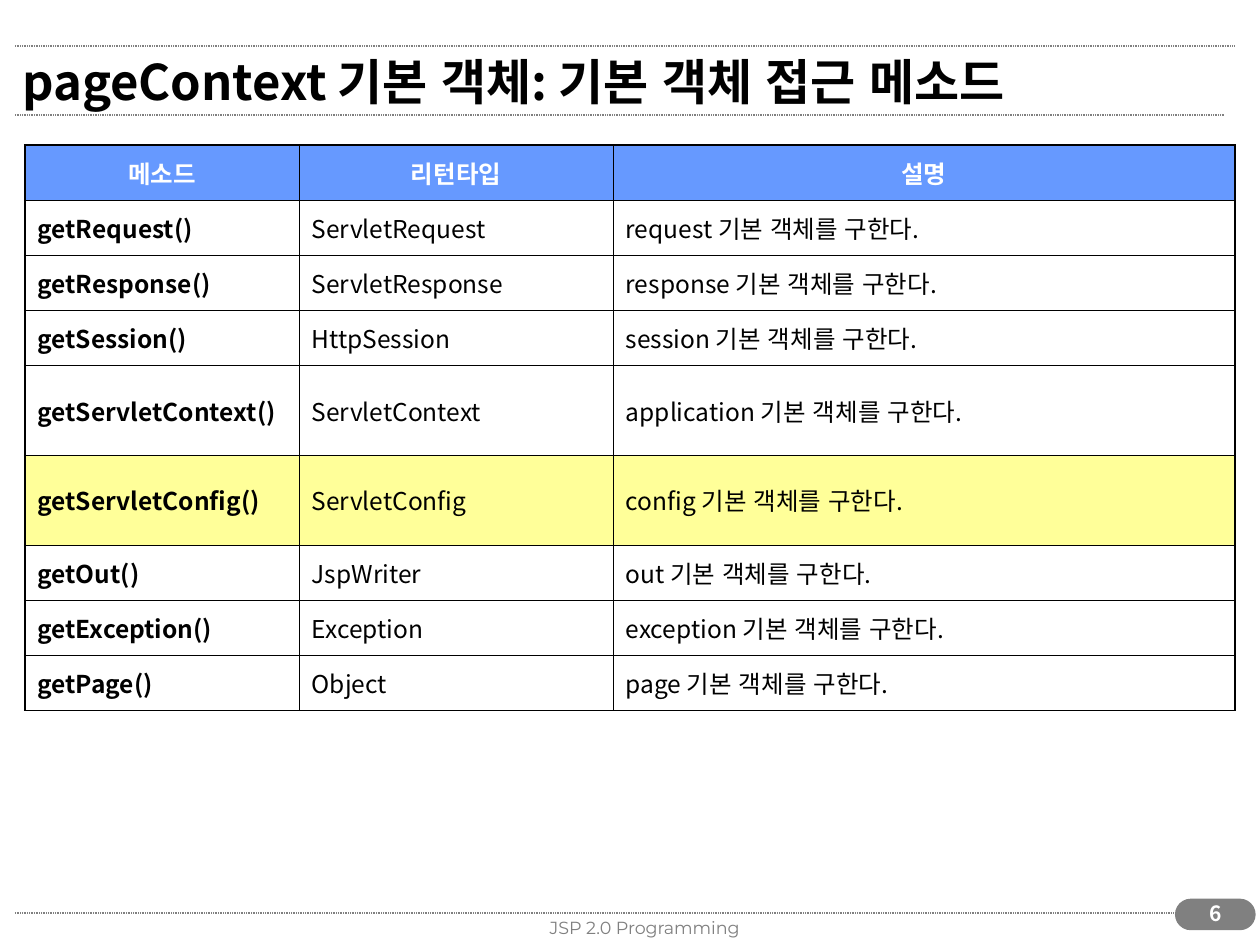
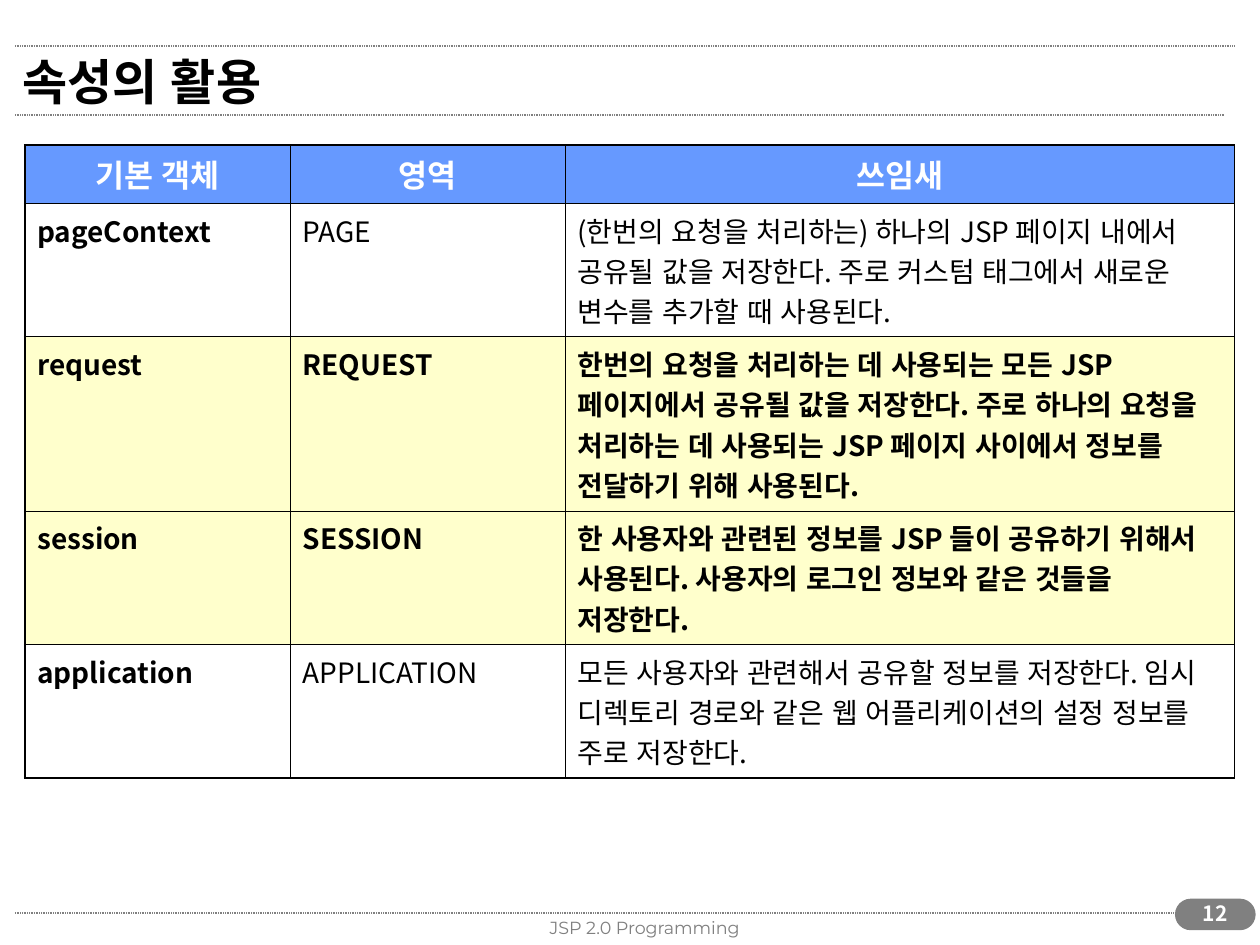
from lxml.etree import SubElement
from pptx import Presentation
from pptx.dml.color import RGBColor
from pptx.enum.shapes import MSO_CONNECTOR as Connector, MSO_SHAPE as Shape
from pptx.enum.text import MSO_ANCHOR as Anchor, PP_ALIGN as Align
from pptx.oxml import parse_xml
from pptx.oxml.ns import nsdecls, qn
from pptx.util import Cm, Pt

BLACK = RGBColor(0x00, 0x00, 0x00)
WHITE = RGBColor(0xFF, 0xFF, 0xFF)
GRAY = RGBColor(0x80, 0x80, 0x80)
HEADER_BLUE = RGBColor(0x66, 0x99, 0xFF)
YELLOW = RGBColor(0xFF, 0xFF, 0x99)
PALE_YELLOW = RGBColor(0xFF, 0xFF, 0xCC)
BODY_FONT = "Noto Sans CJK KR"
FOOTER_FONT = "Montserrat"
THICK, THIN = 1.08, 0.45

RULES = [(24.71, 18.4), (24.69, 2.32), (24.88, 0.92)]

DECK = [
    {
        "title": "pageContext 기본 객체: 기본 객체 접근 메소드",
        "number": "6",
        "widths": [5.53, 6.33, 12.53],
        "heights": [1.11] * 3 + [1.12] + [1.81] * 2 + [1.11] * 3,
        "sizes": (14, 14),
        "anchor": Anchor.MIDDLE,
        "highlights": {5: YELLOW},
        "bold_highlights": False,
        "rows": [("메소드", "리턴타입", "설명")] + [
            (method, kind, f"{name} 기본 객체를 구한다.")
            for method, kind, name in [
                ("getRequest()", "ServletRequest", "request"),
                ("getResponse()", "ServletResponse", "response"),
                ("getSession()", "HttpSession", "session"),
                ("getServletContext()", "ServletContext", "application"),
                ("getServletConfig()", "ServletConfig", "config"),
                ("getOut()", "JspWriter", "out"),
                ("getException()", "Exception", "exception"),
                ("getPage()", "Object", "page"),
            ]
        ],
    },
    {
        "title": "속성의 활용",
        "number": "12",
        "widths": [5.35, 5.54, 13.5],
        "heights": [1.18, 2.69, 3.51, 2.69, 2.69],
        "sizes": (18, 16),
        "anchor": Anchor.TOP,
        "highlights": {2: PALE_YELLOW, 3: PALE_YELLOW},
        "bold_highlights": True,
        "rows": [
            ("기본 객체", "영역", "쓰임새"),
            ("pageContext", "PAGE",
             "(한번의 요청을 처리하는) 하나의 JSP 페이지 내에서 공유될 값을 저장한다. "
             "주로 커스텀 태그에서 새로운 변수를 추가할 때 사용된다."),
            ("request", "REQUEST",
             "한번의 요청을 처리하는 데 사용되는 모든 JSP 페이지에서 공유될 값을 저장한다. "
             "주로 하나의 요청을 처리하는 데 사용되는 JSP 페이지 사이에서 정보를 전달하기 위해 사용된다."),
            ("session", "SESSION",
             "한 사용자와 관련된 정보를 JSP 들이 공유하기 위해서 사용된다. "
             "사용자의 로그인 정보와 같은 것들을 저장한다."),
            ("application", "APPLICATION",
             "모든 사용자와 관련해서 공유할 정보를 저장한다. "
             "임시 디렉토리 경로와 같은 웹 어플리케이션의 설정 정보를 주로 저장한다."),
        ],
    },
]


def write(frame, text, size, color, bold=False, align=Align.LEFT, font=BODY_FONT):
    frame.word_wrap = True
    paragraph = frame.paragraphs[0]
    paragraph.alignment = align
    run = paragraph.add_run()
    run.text = text
    run.font.size = Pt(size)
    run.font.bold = bold
    run.font.name = font
    run.font.color.rgb = color
    run.font._element.set("lang", "ko-KR")
    SubElement(run.font._element, qn("a:ea"), typeface=font)


def set_borders(cell, widths):
    properties = cell._tc.get_or_add_tcPr()
    for side, width in zip("LRTB", widths):
        properties.append(parse_xml(
            f'<a:ln{side} {nsdecls("a")} w="{Pt(width)}"><a:solidFill>'
            f'<a:srgbClr val="{BLACK}"/></a:solidFill></a:ln{side}>'))


presentation = Presentation()
presentation.slide_width = Cm(25.4)
presentation.slide_height = Cm(19.05)

for page in DECK:
    slide = presentation.slides.add_slide(presentation.slide_layouts[6])

    for right, y in RULES:
        rule = slide.shapes.add_connector(Connector.STRAIGHT, Cm(0.3), Cm(y), Cm(right), Cm(y))
        rule.line.color.rgb = GRAY
        rule.line.width = Pt(1)
        dashes = SubElement(rule.line._ln, qn("a:custDash"))
        SubElement(dashes, qn("a:ds"), d="50000", sp="50000")
        SubElement(rule._element.spPr, qn("a:effectLst"))

    badge = slide.shapes.add_shape(Shape.ROUNDED_RECTANGLE, Cm(23.7), Cm(18.13), Cm(1.6), Cm(0.61))
    badge.adjustments[0] = 0.5
    badge.shadow.inherit = False
    badge.fill.solid()
    badge.fill.fore_color.rgb = GRAY
    badge.line.color.rgb = GRAY
    badge.line.width = Pt(0.75)

    footer = slide.shapes.add_textbox(Cm(8.97), Cm(18.37), Cm(8.05), Cm(0.51))
    write(footer.text_frame, "JSP 2.0 Programming", 10, GRAY, align=Align.CENTER, font=FOOTER_FONT)

    number = slide.shapes.add_textbox(Cm(23.8), Cm(18.03), Cm(1.4), Cm(0.86))
    write(number.text_frame, page["number"], 12, WHITE, True, Align.CENTER)

    title = slide.shapes.add_textbox(Cm(0.2), Cm(0.73), Cm(23.11), Cm(1.8))
    title.text_frame.vertical_anchor = Anchor.MIDDLE
    write(title.text_frame, page["title"], 28, BLACK, True)

    rows, widths, heights = page["rows"], page["widths"], page["heights"]
    header_size, body_size = page["sizes"]
    last_row, last_column = len(rows) - 1, len(widths) - 1
    table = slide.shapes.add_table(len(rows), len(widths), Cm(0.5), Cm(2.92),
                                   Cm(sum(widths)), Cm(sum(heights))).table
    table.first_row = False
    table.horz_banding = False
    for column, width in zip(table.columns, widths):
        column.width = Cm(width)

    for row_index, (values, height) in enumerate(zip(rows, heights)):
        table.rows[row_index].height = Cm(height)
        is_header = row_index == 0
        highlight = HEADER_BLUE if is_header else page["highlights"].get(row_index)
        for column_index, value in enumerate(values):
            cell = table.cell(row_index, column_index)
            cell.vertical_anchor = page["anchor"]
            edges = (column_index == 0, column_index == last_column, is_header, row_index == last_row)
            set_borders(cell, [THICK if edge else THIN for edge in edges])
            if highlight is None:
                cell.fill.background()
            else:
                cell.fill.solid()
                cell.fill.fore_color.rgb = highlight
            if is_header:
                write(cell.text_frame, value, header_size, WHITE, True, Align.CENTER)
            else:
                bold = column_index == 0 or (page["bold_highlights"] and highlight is not None)
                write(cell.text_frame, value, body_size, BLACK, bold)

presentation.save("out.pptx")
